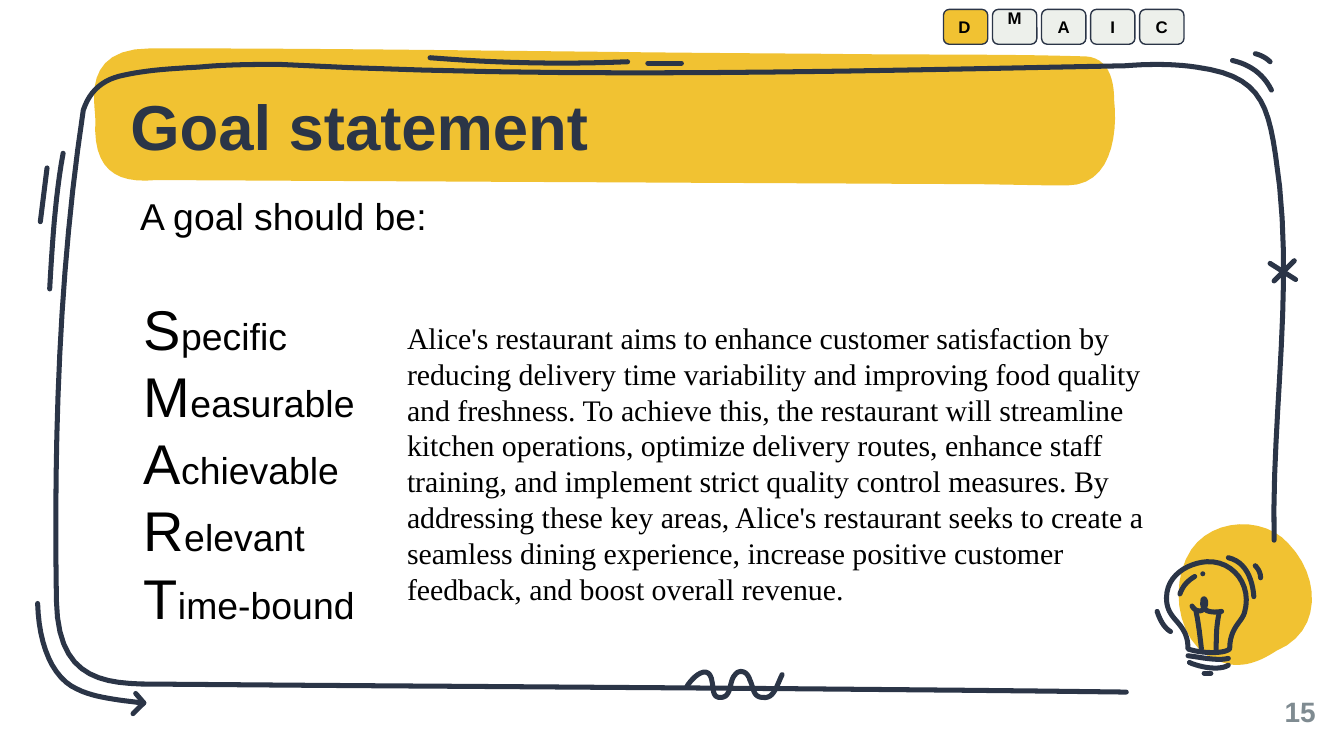
from dataclasses import dataclass

from lxml import etree
from pptx import Presentation
from pptx.dml.color import RGBColor
from pptx.enum.shapes import MSO_SHAPE
from pptx.enum.text import MSO_ANCHOR, MSO_AUTO_SIZE, PP_ALIGN
from pptx.oxml.ns import qn
from pptx.util import Inches, Pt

LEFT, MID, RIGHT = PP_ALIGN.LEFT, PP_ALIGN.CENTER, PP_ALIGN.RIGHT
TOP, MIDDLE = MSO_ANCHOR.TOP, MSO_ANCHOR.MIDDLE
ROUND = MSO_SHAPE.ROUNDED_RECTANGLE
FIT = MSO_AUTO_SIZE.NONE
STEPS = 12  # straight pieces per curve


@dataclass(frozen=True)
class Theme:
    ink: RGBColor = RGBColor(0x2B, 0x35, 0x47)
    gold: RGBColor = RGBColor(0xF1, 0xC2, 0x32)
    pale: RGBColor = RGBColor(0xED, 0xF0, 0xEB)
    gray: RGBColor = RGBColor(0x7F, 0x8B, 0x91)
    black: RGBColor = RGBColor(0, 0, 0)
    sans: str = "Arial"
    serif: str = "Times New Roman"
    title: int = 34
    initial: int = 30
    body: int = 20
    prose: int = 16
    number: int = 15
    chip: int = 9
    stroke: float = 2.7
    border: float = 0.75


@dataclass(frozen=True)
class Box:
    x: float
    y: float
    w: float
    h: float


@dataclass(frozen=True)
class Style:
    size: int
    color: RGBColor
    font: str
    bold: bool = False
    align: PP_ALIGN = LEFT
    spacing: float = 1.0


@dataclass(frozen=True)
class Chip:
    text: str
    fill: RGBColor
    align: PP_ALIGN = MID
    insets: tuple = (0.1, 0.1, 0.1, 0.1)


T = Theme()

# Each path is a flat run of x, y: two points make a line,
# more make a chain of cubic curves that share their end points.
GLOW = (9.67, 4.14, 9.55, 3.9, 9.18, 3.81, 8.96, 4, 8.71, 4.22, 8.66, 4.74, 9.02, 4.9,
        9.14, 4.95, 9.26, 4.93, 9.38, 4.89, 9.75, 4.84, 9.84, 4.44, 9.67, 4.14)
BANNER = (8.29, 0.74, 8.29, 0.58, 8.24, 0.43, 8.08, 0.42, 7.41, 0.4, 6.75, 0.41, 6.08, 0.4,
          4.35, 0.39, 2.85, 0.36, 1.12, 0.36, 0.6, 0.36, 0.71, 0.77, 0.71, 0.89,
          0.69, 1.25, 0.85, 1.37, 1.16, 1.34, 3.16, 1.35, 5.15, 1.36, 7.15, 1.37,
          7.42, 1.37, 7.68, 1.38, 7.94, 1.38, 8.26, 1.38, 8.32, 1.02, 8.29, 0.74)
FRAME = (9.48, 4.02, 9.46, 3.05, 9.64, 2.1, 9.49, 1.15, 9.43, 0.74, 9.35, 0.56, 8.9, 0.5,
         8.7, 0.47, 8.5, 0.48, 8.37, 0.49, 6.28, 0.53, 4.18, 0.59, 2.09, 0.48,
         1.89, 0.48, 1.68, 0.48, 1.48, 0.5, 1.29, 0.51, 1.1, 0.52, 0.92, 0.56,
         0.77, 0.59, 0.67, 0.67, 0.62, 0.82, 0.44, 2.01, 0.4, 3.25, 0.42, 4.47,
         0.43, 5, 0.7, 5.08, 1.05, 5.09, 3.47, 5.11, 5.93, 5.12, 8.38, 5.15)
ARROW = ((0.28, 4.49, 0.29, 4.8, 0.39, 5.05, 0.58, 5.13, 0.7, 5.19, 0.89, 5.21, 1.06, 5.23),
         (1.01, 5.16, 1.07, 5.23), (1.07, 5.23, 0.99, 5.31))
CROSS = ((9.45, 1.96, 9.64, 2.08), (9.63, 1.94, 9.48, 2.09))
WAVE = (5.11, 5.11, 5.15, 5.04, 5.28, 4.92, 5.3, 5.08, 5.31, 5.13, 5.3, 5.19, 5.36, 5.19,
        5.45, 5.19, 5.42, 5.07, 5.47, 5.02, 5.5, 4.98, 5.56, 4.99, 5.58, 5.06,
        5.61, 5.12, 5.6, 5.19, 5.68, 5.19, 5.76, 5.2, 5.78, 5.1, 5.82, 5.02)
TICKS = ((0.47, 1.14, 0.41, 1.47, 0.39, 1.81, 0.37, 2.15),
         (0.35, 1.25, 0.3, 1.65),
         (3.2, 0.43, 3.69, 0.47, 4.18, 0.48, 4.67, 0.46),
         (4.82, 0.47, 5.07, 0.47),
         (9.17, 0.45, 9.3, 0.48, 9.4, 0.55, 9.46, 0.67),
         (9.34, 0.4, 9.38, 0.41, 9.42, 0.43, 9.45, 0.46))
BULB = ((8.84, 4.83, 8.84, 4.75, 8.82, 4.7, 8.77, 4.64, 8.73, 4.59, 8.68, 4.55, 8.68, 4.45,
         8.68, 4.28, 8.84, 4.19, 8.98, 4.18, 9.18, 4.17, 9.32, 4.36, 9.26, 4.56,
         9.24, 4.63, 9.15, 4.67, 9.15, 4.83, 9.1, 4.87, 8.93, 4.86, 8.84, 4.83),
        (8.84, 4.88, 8.93, 4.89, 9.05, 4.92, 9.14, 4.9),
        (8.85, 4.93, 8.94, 4.97, 9.08, 4.99, 9.14, 4.95),
        (8.96, 5.01, 9.01, 5.01),
        (8.94, 4.83, 8.93, 4.74, 8.92, 4.65, 8.9, 4.55),
        (9.05, 4.84, 9.05, 4.75, 9.05, 4.66, 9.07, 4.57),
        (8.87, 4.51, 8.9, 4.56, 8.96, 4.56, 8.97, 4.5, 8.98, 4.47, 8.95, 4.43, 8.95, 4.48,
         8.94, 4.56, 9.03, 4.56, 9.09, 4.55),
        (8.95, 4.27, 8.95, 4.27),
        (8.78, 4.42, 8.8, 4.36, 8.84, 4.32, 8.89, 4.29),
        (8.61, 4.55, 8.63, 4.61, 8.66, 4.67, 8.71, 4.7),
        (9.14, 4.15, 9.27, 4.18, 9.32, 4.31, 9.33, 4.44),
        (9.34, 4.21, 9.36, 4.23, 9.38, 4.26, 9.38, 4.3))

CHIPS = (Chip("D", T.gold, LEFT), Chip("M", T.pale, insets=(0.1, 0, 0.1, 0.13)),
         Chip("A", T.pale), Chip("I", T.pale), Chip("C", T.pale))
GOALS = ("Specific", "Measurable", "Achievable", "Relevant", "Time-bound")
PROSE = ("Alice's restaurant aims to enhance customer satisfaction by reducing delivery "
         "time variability and improving food quality and freshness. To achieve this, the "
         "restaurant will streamline kitchen operations, optimize delivery routes, enhance "
         "staff training, and implement strict quality control measures. By addressing these "
         "key areas, Alice's restaurant seeks to create a seamless dining experience, "
         "increase positive customer feedback, and boost overall revenue.")


def trace(path: tuple) -> list:
    """Turn a flat path into points along its line or curves."""
    pts = [(Inches(x), Inches(y)) for x, y in zip(path[::2], path[1::2])]
    if len(pts) == 2:
        return pts
    out = pts[:1]
    for i in range(0, len(pts) - 1, 3):
        for step in range(1, STEPS + 1):
            t = step / STEPS
            u = 1 - t
            mix = (u**3, 3 * u * u * t, 3 * u * t * t, t**3)
            out.append(tuple(sum(m * p[axis] for m, p in zip(mix, pts[i:i + 4]))
                             for axis in (0, 1)))
    return out


def outline(slide, paths: tuple, closed: bool):
    first, *rest = [trace(path) for path in paths]
    pen = slide.shapes.build_freeform(*first[0])
    pen.add_line_segments(first[1:], close=closed)
    for pts in rest:
        pen.move_to(*pts[0])
        pen.add_line_segments(pts[1:], close=closed)
    shape = pen.convert_to_shape()
    shape.shadow.inherit = False
    return shape


def blob(slide, path: tuple, turn: float = 0) -> None:
    shape = outline(slide, (path,), True)
    shape.fill.solid()
    shape.fill.fore_color.rgb = T.gold
    shape.line.fill.background()
    shape.rotation = turn


def doodle(slide, *paths: tuple) -> None:
    shape = outline(slide, paths, False)
    shape.fill.background()
    shape.line.color.rgb = T.ink
    shape.line.width = Pt(T.stroke)
    ln = shape.element.spPr.find(qn("a:ln"))
    ln.set("cap", "rnd")
    etree.SubElement(ln, qn("a:round"))


def place(shape, box: Box) -> None:
    shape.left, shape.top = Inches(box.x), Inches(box.y)
    shape.width, shape.height = Inches(box.w), Inches(box.h)


def setup(shape, insets: tuple, anchor: MSO_ANCHOR):
    frame = shape.text_frame
    frame.word_wrap, frame.auto_size, frame.vertical_anchor = True, FIT, anchor
    sides = [Inches(n) for n in insets]
    frame.margin_left, frame.margin_top, frame.margin_right, frame.margin_bottom = sides
    return frame


def dress(para, style: Style) -> None:
    para.alignment, para.line_spacing = style.align, style.spacing
    para.space_before = Pt(0)
    font = para.font
    font.name, font.size, font.bold = style.font, Pt(style.size), style.bold
    font.color.rgb = style.color


def write(shape, text: str, style: Style, insets: tuple, anchor: MSO_ANCHOR = TOP) -> None:
    para = setup(shape, insets, anchor).paragraphs[0]
    para.add_run().text = text
    dress(para, style)


def label(slide, box: Box, text: str, style: Style, insets: tuple,
          anchor: MSO_ANCHOR = TOP) -> None:
    shape = slide.shapes.add_textbox(0, 0, 0, 0)
    place(shape, box)
    write(shape, text, style, insets, anchor)


def badge(slide, box: Box, chip: Chip) -> None:
    shape = slide.shapes.add_shape(ROUND, 0, 0, 0, 0)
    place(shape, box)
    shape.shadow.inherit = False
    shape.fill.solid()
    shape.fill.fore_color.rgb = chip.fill
    shape.line.color.rgb = T.ink
    shape.line.width = Pt(T.border)
    style = Style(T.chip, T.black, T.sans, True, chip.align)
    write(shape, chip.text, style, chip.insets, MIDDLE)


def goals(shape) -> None:
    frame = setup(shape, (0.1,) * 4, TOP)
    for i, word in enumerate(GOALS):
        para = frame.add_paragraph() if i else frame.paragraphs[0]
        for text, size in ((word[0], T.initial), (word[1:], T.body)):
            run = para.add_run()
            run.text, run.font.size = text, Pt(size)
        props = para._p.get_or_add_pPr()
        props.set("marL", "0")
        props.set("indent", "0")
        etree.SubElement(props, qn("a:buNone"))
        dress(para, Style(T.body, T.black, T.sans))


def main() -> None:
    deck = Presentation()
    deck.slide_width = Inches(10)
    deck.slide_height = deck.slide_width * 9 // 16
    slide = deck.slides.add_slide(deck.slide_layouts[1])
    title, body = slide.placeholders

    blob(slide, GLOW, 345.3)
    blob(slide, BANNER)
    for path in (FRAME, *TICKS, WAVE):
        doodle(slide, path)
    doodle(slide, *ARROW)
    doodle(slide, *CROSS)

    tree = title.element.getparent()
    for holder in (title, body):  # bring the text in front of the banner
        tree.append(holder.element)
    place(title, Box(0.97, 0.75, 7.03, 0.43))
    write(title, "Goal statement", Style(T.title, T.ink, T.sans, True, spacing=0.9),
          (0,) * 4, MIDDLE)
    place(body, Box(0.97, 2.09, 1.97, 2.73))
    goals(body)

    pad = (0.1, 0.05, 0.1, 0.05)
    label(slide, Box(9.19, 5.13, 0.6, 0.33), "15",
          Style(T.number, T.gray, T.sans, True, RIGHT), (0,) * 4, MIDDLE)
    label(slide, Box(0.61, 1.39, 3, 0.44), "A goal should be:",
          Style(T.body, T.black, T.sans, align=MID), pad)
    doodle(slide, *BULB)
    for i, chip in enumerate(CHIPS):
        badge(slide, Box(7.02 + i * 0.365, 0.07, 0.33, 0.26), chip)
    label(slide, Box(2.93, 2.33, 5.75, 2.26), PROSE,
          Style(T.prose, T.black, T.serif), pad)
    deck.save("out.pptx")


if __name__ == "__main__":
    main()
